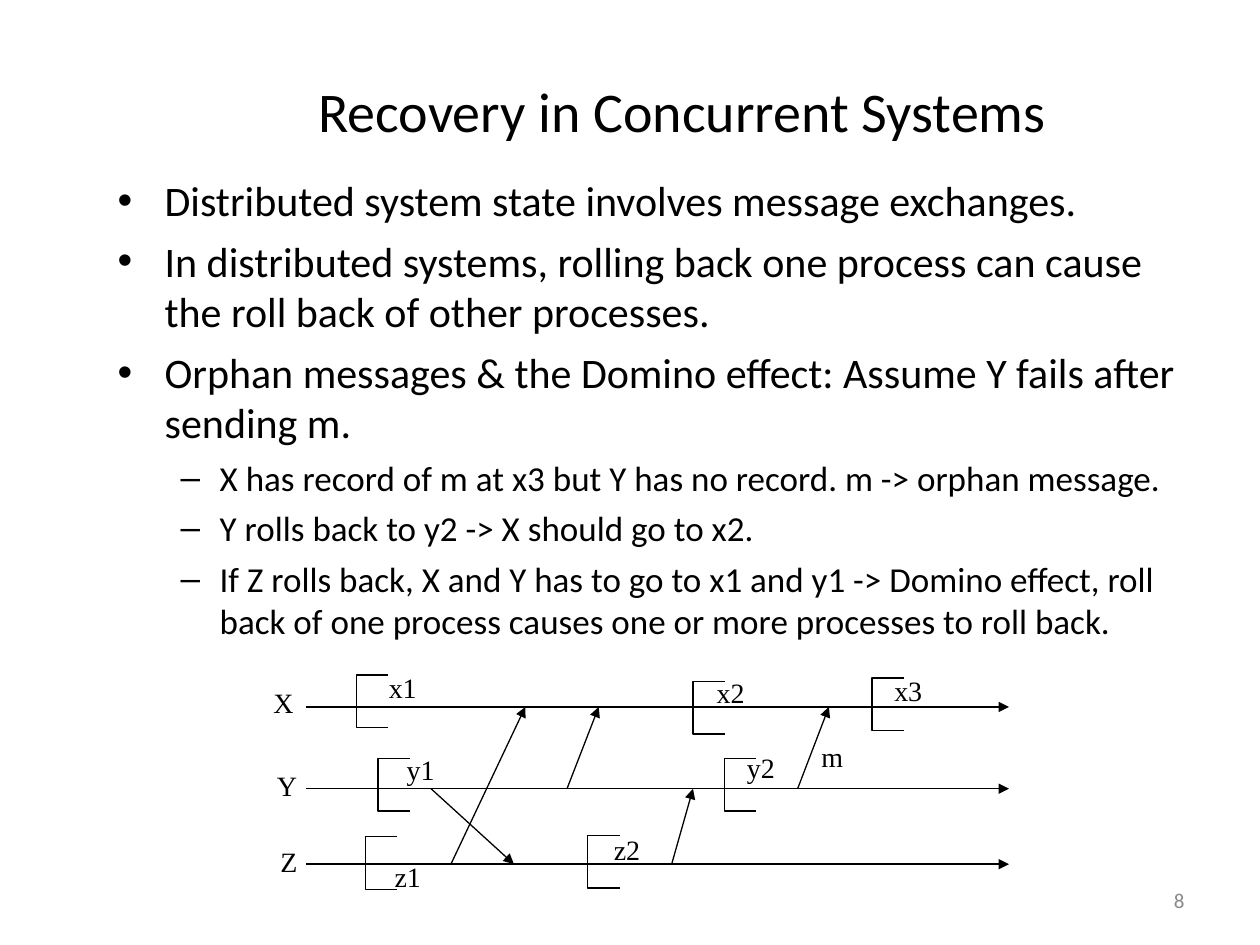
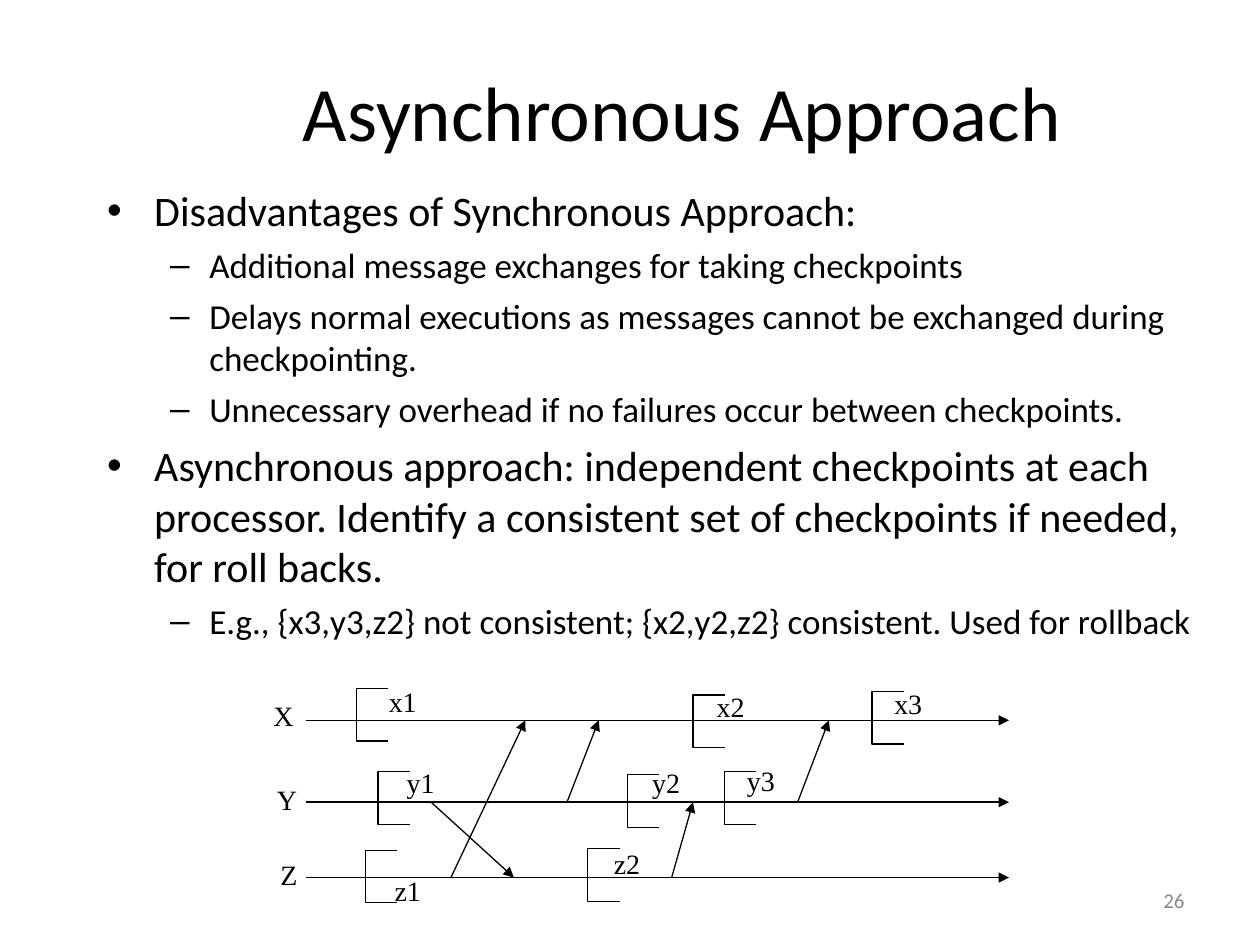
from dataclasses import dataclass

from lxml import etree
from pptx import Presentation
from pptx.dml.color import RGBColor
from pptx.enum.shapes import MSO_CONNECTOR
from pptx.enum.text import MSO_ANCHOR, MSO_AUTO_SIZE, PP_ALIGN
from pptx.oxml.ns import qn
from pptx.util import Cm, Pt

LEFT, CENTER, RIGHT = PP_ALIGN.LEFT, PP_ALIGN.CENTER, PP_ALIGN.RIGHT
MIDDLE = MSO_ANCHOR.MIDDLE
FIXED, GROW = MSO_AUTO_SIZE.NONE, MSO_AUTO_SIZE.SHAPE_TO_FIT_TEXT
STRAIGHT = MSO_CONNECTOR.STRAIGHT


@dataclass(frozen=True)
class Theme:
    ink: str = "000000"
    muted: str = "898989"
    text_font: str = "Calibri"
    diagram_font: str = "Times New Roman"
    label_size: int = 16
    number_size: int = 12
    line_width: float = 0.75


THEME = Theme()

# Per outline level: bullet, size, space before, left margin, hanging indent
LEVELS = [("•", 24, 6, 0.95, 0.95), ("–", 20, 5, 2.06, 0.79)]

# Time lines of the processes: height of the line, label position
LANES = {
    "X": (14.25, 5.26, 13.69),
    "Y": (15.9, 5.33, 15.37),
    "Z": (17.42, 5.37, 16.89),
}
LANE_START, LANE_END = 6.17, 20.34

# Messages: sender, x when sent, receiver, x when received
MESSAGES = [
    ("Y", 8.69, "Z", 10.36),
    ("Z", 9.09, "X", 10.59),
    ("Y", 11.43, "X", 12.07),
    ("Z", 13.54, "Y", 13.97),
    ("Y", 16.08, "X", 16.71),
]

# Checkpoints: name, bracket left and top, label left and top
BRACKET_WIDTH, BRACKET_HEIGHT = 0.64, 1.06
CHECKPOINTS = [
    ("x1", 7.19, 13.61, 7.52, 13.39),
    ("y1", 7.62, 15.29, 7.88, 15.04),
    ("z1", 7.37, 16.87, 7.62, 17.2),
    ("x2", 13.97, 13.74, 14.13, 13.49),
    ("z2", 11.85, 16.84, 12.04, 16.66),
    ("x3", 17.58, 13.67, 17.71, 13.44),
]
LATE_Y = (14.61, 15.29, 14.74, 14.99)
EARLY_Y = (12.65, 15.35, 12.83, 15.04)

# Label widths leave room for the text on one line
PROCESS_WIDTH, CHECKPOINT_WIDTH, MESSAGE_WIDTH = 0.91, 1.2, 1.0

PAGES = [
    {
        "title": "Recovery in Concurrent Systems",
        "title_size": 32,
        "number": "8",
        "body_at": (2.12, 3.39),
        "outline": [
            (0, "Distributed system state involves message exchanges."),
            (0, "In distributed systems, rolling back one process can cause "
                "the roll back of other processes."),
            (0, "Orphan messages & the Domino effect: Assume Y fails after "
                "sending m."),
            (1, "X has record of m at x3 but Y has no record. "
                "m -> orphan message."),
            (1, "Y rolls back to y2 -> X should go to x2."),
            (1, "If Z rolls back, X and Y has to go to x1 and y1 -> Domino "
                "effect, roll back of one process causes one or more "
                "processes to roll back."),
        ],
        "shift": 0,
        "checkpoints": CHECKPOINTS + [("y2", *LATE_Y)],
        "message_labels": [("m", 16.28, 14.78)],
    },
    {
        "title": "Asynchronous Approach",
        "title_size": 44,
        "number": "26",
        "body_at": (1.91, 3.6),
        "outline": [
            (0, "Disadvantages of Synchronous Approach:"),
            (1, "Additional message exchanges for taking checkpoints"),
            (1, "Delays normal executions as messages cannot be exchanged "
                "during checkpointing."),
            (1, "Unnecessary overhead if no failures occur between "
                "checkpoints."),
            (0, "Asynchronous approach: independent checkpoints at each "
                "processor. Identify a consistent set of checkpoints if "
                "needed, for roll backs."),
            (1, "E.g., {x3,y3,z2} not consistent; {x2,y2,z2} consistent. "
                "Used for rollback"),
        ],
        "shift": 0.27,
        "checkpoints": CHECKPOINTS + [("y2", *EARLY_Y), ("y3", *LATE_Y)],
        "message_labels": [],
    },
]


def write(frame, text, size, font=THEME.text_font, color=THEME.ink,
          align=LEFT, level=None):
    """Fill the first paragraph of a frame, or add one after it."""
    first = not frame.text
    para = frame.paragraphs[0] if first else frame.add_paragraph()
    para.alignment = align
    if level is not None:
        bullet, _, gap, margin, hanging = LEVELS[level]
        para.level = level
        para.space_before = Pt(0 if first else gap)
        properties = para._p.get_or_add_pPr()
        properties.set("marL", str(Cm(margin)))
        properties.set("indent", str(-Cm(hanging)))
        bullet_color = etree.SubElement(properties, qn("a:buClr"))
        etree.SubElement(bullet_color, qn("a:srgbClr"), val=color)
        etree.SubElement(properties, qn("a:buFont"), typeface="Arial")
        etree.SubElement(properties, qn("a:buChar"), char=bullet)
    span = para.add_run()
    span.text = text
    span.font.size = Pt(size)
    span.font.name = font
    span.font.color.rgb = RGBColor.from_string(color)


def add_arrow(page, start, end):
    """Draw a thin line with a triangle at its end."""
    arrow = page.shapes.add_connector(
        STRAIGHT, *(Cm(value) for value in (*start, *end)))
    arrow.line.color.rgb = RGBColor.from_string(THEME.ink)
    arrow.line.width = Pt(THEME.line_width)
    etree.SubElement(arrow.line._get_or_add_ln(), qn("a:tailEnd"),
                     type="triangle")
    etree.SubElement(arrow._element.spPr, qn("a:effectLst"))


deck = Presentation()
deck.slide_width, deck.slide_height = Cm(25.4), Cm(19.05)
title_only = deck.slide_layouts[5]

for content in PAGES:
    page = deck.slides.add_slide(title_only)
    shift = content["shift"]

    # Title
    title = page.shapes.title
    title.left, title.top = Cm(2.96), Cm(0.64)
    title.width, title.height = Cm(21.59), Cm(3.18)
    title.text_frame.auto_size = FIXED
    title.text_frame.vertical_anchor = MIDDLE
    write(title.text_frame, content["title"], content["title_size"],
          align=CENTER)

    # Page number
    number = page.shapes.add_textbox(Cm(18.2), Cm(17.65), Cm(5.93), Cm(1.01))
    number.text_frame.word_wrap = True
    number.text_frame.vertical_anchor = MIDDLE
    write(number.text_frame, content["number"], THEME.number_size,
          color=THEME.muted, align=RIGHT)

    # Outline
    left, top = content["body_at"]
    body = page.shapes.add_textbox(Cm(left), Cm(top), Cm(22.43), Cm(14.18))
    body.text_frame.word_wrap = True
    for level, text in content["outline"]:
        write(body.text_frame, text, LEVELS[level][1], level=level)

    # Time lines and messages
    for height, _, _ in LANES.values():
        add_arrow(page, (LANE_START, height + shift),
                  (LANE_END, height + shift))
    for sender, sent, receiver, received in MESSAGES:
        add_arrow(page, (sent, LANES[sender][0] + shift),
                  (received, LANES[receiver][0] + shift))

    # Checkpoint brackets
    for _, left, top, _, _ in content["checkpoints"]:
        right, upper = Cm(left + BRACKET_WIDTH), Cm(top + shift)
        lower = Cm(top + shift + BRACKET_HEIGHT)
        outline = page.shapes.build_freeform(right, upper)
        outline.add_line_segments(
            [(Cm(left), upper), (Cm(left), lower), (right, lower)],
            close=False)
        bracket = outline.convert_to_shape()
        bracket.shadow.inherit = False
        bracket.fill.background()
        bracket.line.color.rgb = RGBColor.from_string(THEME.ink)
        bracket.line.width = Pt(THEME.line_width)

    # Labels of processes, checkpoints and messages
    labels = [(name, left, top, PROCESS_WIDTH)
              for name, (_, left, top) in LANES.items()]
    labels += [(name, left, top, CHECKPOINT_WIDTH)
               for name, _, _, left, top in content["checkpoints"]]
    labels += [(name, left, top, MESSAGE_WIDTH)
               for name, left, top in content["message_labels"]]
    for name, left, top, width in labels:
        box = page.shapes.add_textbox(Cm(left), Cm(top + shift), Cm(width),
                                      Cm(0.94))
        box.text_frame.word_wrap = False
        box.text_frame.auto_size = GROW
        box.text_frame.vertical_anchor = MIDDLE
        write(box.text_frame, name, THEME.label_size,
              font=THEME.diagram_font, align=CENTER)

deck.save("out.pptx")
